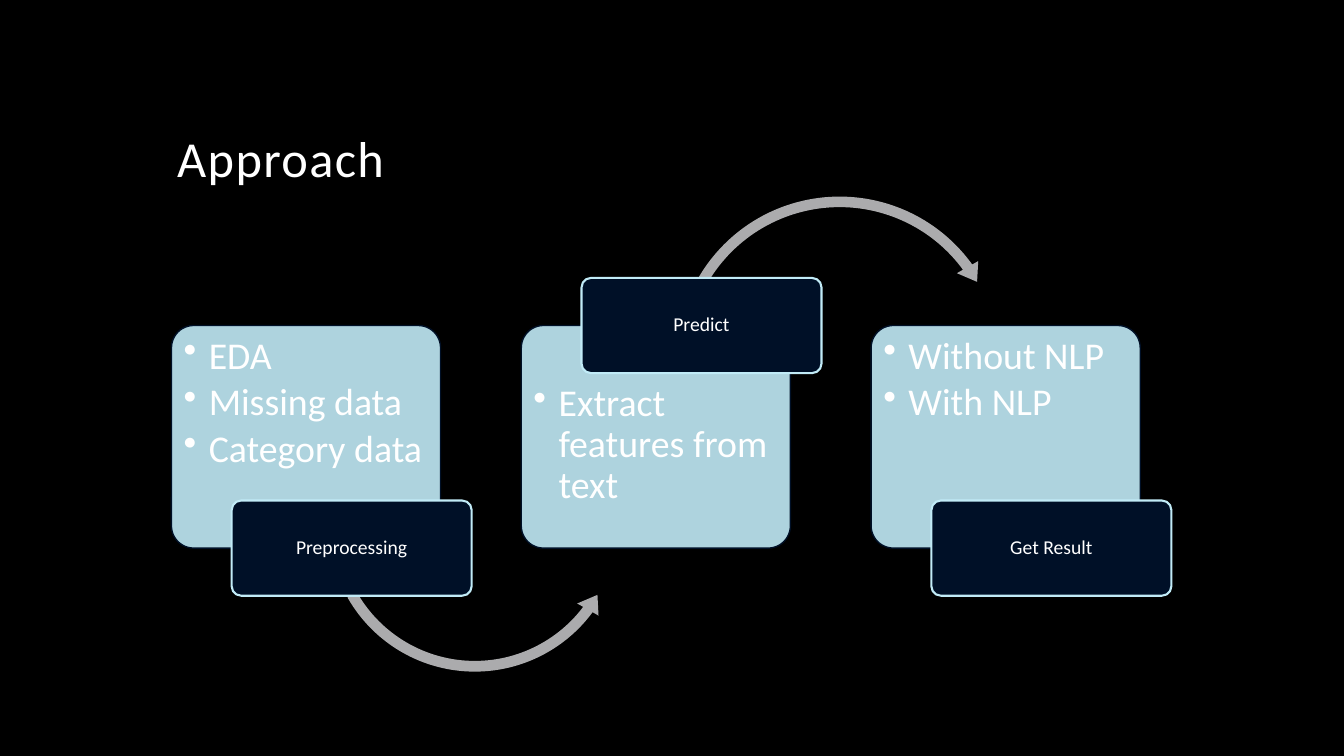
"""Build the Approach slide: three steps joined by curved arrows."""
import pptx
import pptx.chart.data
import pptx.dml.color
import pptx.enum.shapes
import pptx.enum.text
import pptx.oxml
import pptx.oxml.ns
import pptx.util
from lxml import etree

Pt = pptx.util.Pt
KIND = pptx.enum.shapes.MSO_SHAPE
ANCHOR = pptx.enum.text.MSO_ANCHOR
ALIGN = pptx.enum.text.PP_ALIGN
qn = pptx.oxml.ns.qn

TITLE = "Approach"
STEPS = [
    {"tag": "Preprocessing", "high": False,
     "items": ["EDA", "Missing data", "Category data"],
     "arrow": (KIND.LEFT_CIRCULAR_ARROW, (229.7, 265.7, 219),
               (0.035, 4.277, 22.032, 90.245, 0.04))},
    {"tag": "Predict", "high": True,
     "items": ["Extract features from text"],
     "arrow": (KIND.CIRCULAR_ARROW, (478, 135.4, 243.4),
               (0.031, 3.813, 194.431, 125.755, 0.036))},
    {"tag": "Get Result", "high": False,
     "items": ["Without NLP", "With NLP"], "arrow": None},
]
COLORS = {"back": "000000", "text": "FFFFFF", "panel": "C1EBF7",
          "dark": "001027", "arrow": "ABABAD"}
LEFT, TOP, PITCH = 122.5, 232.5, 249.9
PANEL, TAG = (192.2, 159), (171.4, 68)
SHIFT = 43
FRAMES = {
    "title": {"word_wrap": True, "vertical_anchor": ANCHOR.BOTTOM},
    "panel": {"word_wrap": True, "vertical_anchor": ANCHOR.TOP,
              "margin_left": Pt(4), "margin_right": Pt(2.6),
              "margin_top": Pt(3.3), "margin_bottom": Pt(3)},
    "tag": {"word_wrap": True, "vertical_anchor": ANCHOR.MIDDLE,
            "margin_left": Pt(2), "margin_right": Pt(2),
            "margin_top": Pt(1.5), "margin_bottom": Pt(1.5)},
}
PARAS = {
    "title": {"line_spacing": 0.9, "alignment": ALIGN.LEFT},
    "panel": {"line_spacing": 0.9, "alignment": ALIGN.LEFT,
              "space_after": Pt(4)},
    "tag": {"line_spacing": 0.9, "alignment": ALIGN.CENTER},
}
SIZES = {"title": 36, "panel": 27, "tag": 14}


def paint(part, name):
    part.solid()
    part.fore_color.rgb = pptx.dml.color.RGBColor.from_string(COLORS[name])


def apply(part, values):
    for key, value in values.items():
        setattr(part, key, value)


def write(shape, lines, role):
    frame = shape.text_frame
    frame.text = "\n".join(lines)
    apply(frame, FRAMES[role])
    for para in frame.paragraphs:
        apply(para, PARAS[role])
        font = para.runs[0].font
        apply(font, {"name": "Calibri", "size": Pt(SIZES[role])})
        paint(font.fill, "text")
    return frame


def draw(slide, kind, box, fill, edge, width, adjust):
    shape = slide.shapes.add_shape(kind, *map(Pt, box))
    shape.shadow.inherit = False
    paint(shape.fill, fill)
    if edge:
        paint(shape.line.fill, edge)
        shape.line.width = Pt(width)
    else:
        shape.line.fill.background()
    for spot, value in enumerate(adjust):
        shape.adjustments[spot] = value
    return shape


def bullet(para):
    props = para._p.get_or_add_pPr()
    props.set("marL", str(Pt(18)))
    props.set("indent", str(Pt(-18)))
    etree.SubElement(props, qn("a:buChar")).set("char", "•")


def step(slide, rank, data):
    left = LEFT + rank * PITCH
    panel = draw(slide, KIND.ROUNDED_RECTANGLE, (left, TOP, *PANEL),
                 "panel", "dark", 1, (0.1,))
    color = panel.fill._xPr.find(qn("a:solidFill"))[0]
    etree.SubElement(color, qn("a:alpha")).set("val", "90000")
    frame = write(panel, data["items"], "panel")
    if data["high"]:
        frame.margin_top += Pt(TAG[1] / 2)
    for para in frame.paragraphs:
        bullet(para)
    if data["arrow"]:
        kind, (x, y, side), adjust = data["arrow"]
        draw(slide, kind, (x, y, side, side), "arrow", None, 0, adjust)
    middle = TOP if data["high"] else TOP + PANEL[1]
    box = (left + SHIFT, middle - TAG[1] / 2, *TAG)
    tag = draw(slide, KIND.ROUNDED_RECTANGLE, box, "dark", "panel", 1.5, (0.1,))
    write(tag, [data["tag"]], "tag")


def main():
    deck = pptx.Presentation()
    apply(deck, {"slide_width": Pt(960), "slide_height": Pt(540)})
    slide = deck.slides.add_slide(deck.slide_layouts[6])
    paint(slide.background.fill, "back")
    title = slide.shapes.add_textbox(*map(Pt, (119.5, 30.2, 720, 108)))
    frame = write(title, [TITLE], "title")
    frame.paragraphs[0].runs[0].font._element.set("spc", "100")
    for rank, data in enumerate(STEPS):
        step(slide, rank, data)
    deck.save("out.pptx")


if __name__ == "__main__":
    main()
